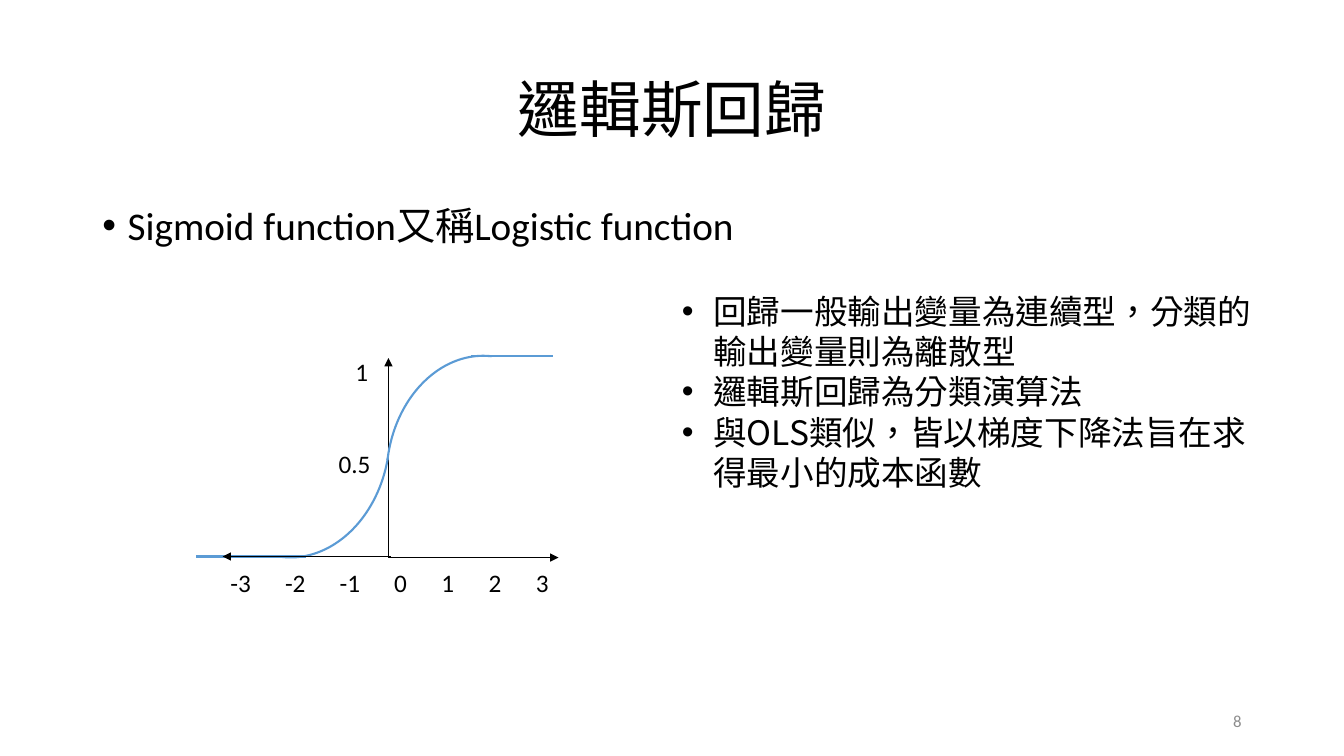
import pptx
import pptx.dml.color
import pptx.enum.dml
import pptx.enum.shapes
import pptx.enum.text
import pptx.oxml
import pptx.oxml.ns
import pptx.util

PX = 9525
COLOURS = {"ink": "000000", "curve": "5B9BD5", "number": "8C8C8C"}
LATIN, HAN = "Calibri", "Noto Sans CJK SC"
ALIGN = pptx.enum.text.PP_ALIGN
ANCHOR = pptx.enum.text.MSO_ANCHOR
SHAPE = pptx.enum.shapes.MSO_SHAPE


def px(*lengths):
    """Turn px lengths into EMU."""
    return [pptx.util.Emu(length * PX) for length in lengths]


def colour(name):
    """Look up a colour by name."""
    return pptx.dml.color.RGBColor.from_string(COLOURS[name])


def apply(target, formats):
    """Set attributes from a dict of format values."""
    for name, value in formats.items():
        setattr(target, name, value)


def add_xml(parent, tag, **attributes):
    """Append a drawing element with its attributes."""
    child = pptx.oxml.parse_xml(f"<a:{tag} {pptx.oxml.ns.nsdecls('a')}/>")
    for name, value in attributes.items():
        child.set(name, str(value))
    parent.append(child)
    return child


def place(shape, box):
    """Move a shape to a px box."""
    apply(shape, dict(zip(("left", "top", "width", "height"), px(*box))))


def indent(para, left, first=0):
    """Set the left margin and first-line indent of a paragraph."""
    margins = para._p.get_or_add_pPr()
    margins.set("marL", str(left * PX))
    margins.set("indent", str(first * PX))


def add_bullet(para, hang):
    """Give a paragraph a hanging round bullet."""
    indent(para, hang, -hang)
    margins = para._p.get_or_add_pPr()
    add_xml(margins, "buFont", typeface="Arial")
    add_xml(margins, "buChar", char="•")


def add_span(para, text, size, font=LATIN, ink="ink"):
    """Add a run with Latin and East Asian fonts."""
    span = para.add_run()
    span.text = text
    apply(span.font, {"size": pptx.util.Pt(size), "name": font})
    span.font.color.rgb = colour(ink)
    marks = span._r.get_or_add_rPr()
    marks.set("lang", "zh-TW" if font == HAN else "en-US")
    add_xml(marks, "ea", typeface=HAN)


def add_text_box(page, box):
    """Add a wrapping text box and return its frame."""
    frame = page.shapes.add_textbox(*px(*box)).text_frame
    frame.word_wrap = True
    return frame


def fill_title(page, box):
    """Place and write the slide title."""
    title = page.shapes.title
    place(title, box)
    apply(title.text_frame, {"vertical_anchor": ANCHOR.MIDDLE, "word_wrap": True})
    para = title.text_frame.paragraphs[0]
    apply(para, {"alignment": ALIGN.CENTER, "line_spacing": 0.9})
    add_span(para, "邏輯斯回歸", 44, HAN)


def fill_body(page, box):
    """Place and write the lead bullet."""
    body = page.placeholders[1]
    place(body, box)
    body.text_frame.auto_size = pptx.enum.text.MSO_AUTO_SIZE.NONE
    para = body.text_frame.paragraphs[0]
    apply(para, {"line_spacing": 0.9, "space_before": pptx.util.Pt(0)})
    add_bullet(para, 24)
    for text, font in (("Sigmoid function", LATIN), ("又稱", HAN), ("Logistic function", LATIN)):
        add_span(para, text, 28, font)


def add_line(page, start, end, ink, width, arrow=False):
    """Draw a straight line, with an arrowhead at its end if asked."""
    kind = pptx.enum.shapes.MSO_CONNECTOR.STRAIGHT
    line = page.shapes.add_connector(kind, *px(*start, *end))
    line.line.color.rgb = colour(ink)
    line.line.width = pptx.util.Pt(width)
    if arrow:
        add_xml(line.line._get_or_add_ln(), "tailEnd", type="triangle")
    add_xml(line._element.spPr, "effectLst")


def add_arc(page, box, rotation):
    """Draw one quarter of the sigmoid curve."""
    arc = page.shapes.add_shape(SHAPE.ARC, *px(*box))
    arc.rotation = rotation
    arc.shadow.inherit = False
    arc.fill.background()
    arc.line.color.rgb = colour("curve")
    arc.line.width = pptx.util.Pt(1.5)


def add_tick_labels(page, box):
    """Write the labels of both axes."""
    left, top, width, height = box
    para = add_text_box(page, (left + 23, top + 201, 334, 39)).paragraphs[0]
    stops = add_xml(para._p.get_or_add_pPr(), "tabLst")
    for step in range(1, 7):
        stop = 52 * min(step, 3) + 45 * max(step - 3, 0)
        add_xml(stops, "tab", pos=stop * PX, algn="l")
    add_span(para, "\t".join(str(tick) for tick in range(-3, 4)), 18)

    frame = add_text_box(page, (left + 126, top, 60, 213))
    upper, middle = frame.paragraphs[0], frame.add_paragraph()
    indent(upper, 16)
    add_span(upper, "1", 18)
    middle.space_before = pptx.util.Pt(44)
    add_span(middle, "0.5", 18)


def draw_sigmoid(page, box):
    """Draw the axes, curve and labels of the sigmoid plot."""
    left, top, width, height = box
    origin = (left + 183, top + 196)
    add_line(page, origin, (origin[0], top + 6), "ink", 0.5, True)
    add_line(page, origin, (left + width, origin[1]), "ink", 0.5, True)
    add_tick_labels(page, box)
    add_arc(page, (left + 159, top + 26, 219, 174), 276.6)
    add_arc(page, (left - 13, top, 219, 174), 99.5)
    add_line(page, (left + 262, top + 4), (left + 340, top + 4), "curve", 1.5)
    floor = top + 195
    add_line(page, (left, floor), (left + 104, floor), "curve", 1.5)
    add_line(page, (left + 185, floor), (left + 25, floor), "ink", 0.5, True)


def add_remarks(page, box):
    """Write the bulleted remarks beside the plot."""
    frame = add_text_box(page, box)
    remarks = (
        "回歸一般輸出變量為連續型，分類的輸出變量則為離散型",
        "邏輯斯回歸為分類演算法",
        "與OLS類似，皆以梯度下降法旨在求得最小的成本函數",
    )
    for index, remark in enumerate(remarks):
        para = frame.add_paragraph() if index else frame.paragraphs[0]
        add_bullet(para, 30)
        add_span(para, remark, 24, HAN)


def add_page_number(page, box):
    """Write the page number."""
    frame = add_text_box(page, box)
    frame.vertical_anchor = ANCHOR.MIDDLE
    para = frame.paragraphs[0]
    para.alignment = ALIGN.RIGHT
    add_span(para, "8", 12, ink="number")


def main():
    """Build and save the deck."""
    deck = pptx.Presentation()
    apply(deck, dict(zip(("slide_width", "slide_height"), px(1280, 720))))
    page = deck.slides.add_slide(deck.slide_layouts[1])
    fill_title(page, (88, 38, 1104, 139))
    fill_body(page, (88, 192, 1104, 457))
    add_page_number(page, (904, 667, 288, 38))
    draw_sigmoid(page, (187, 335, 345, 240))
    add_remarks(page, (640, 272, 576, 204))
    deck.save("out.pptx")


if __name__ == "__main__":
    main()
